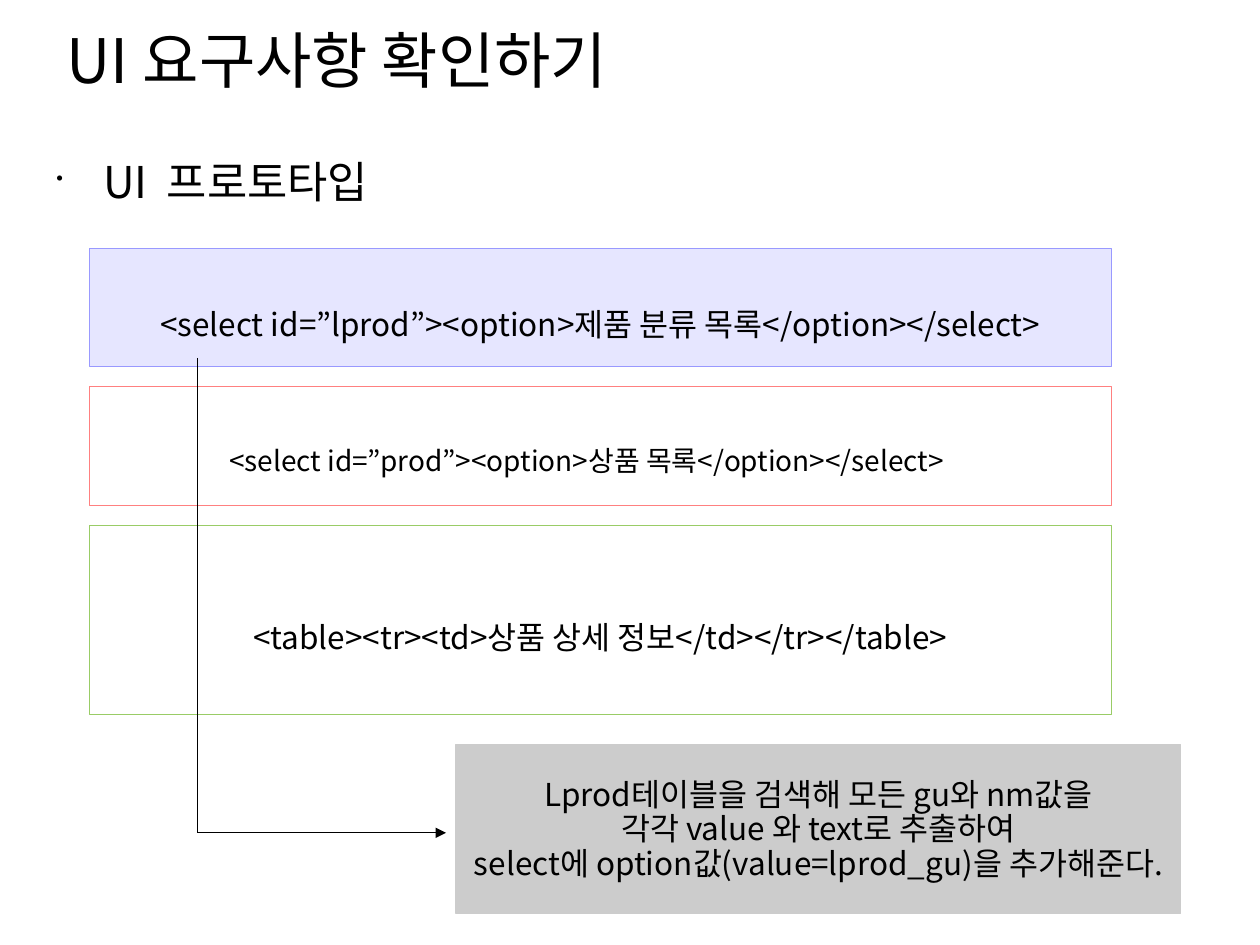
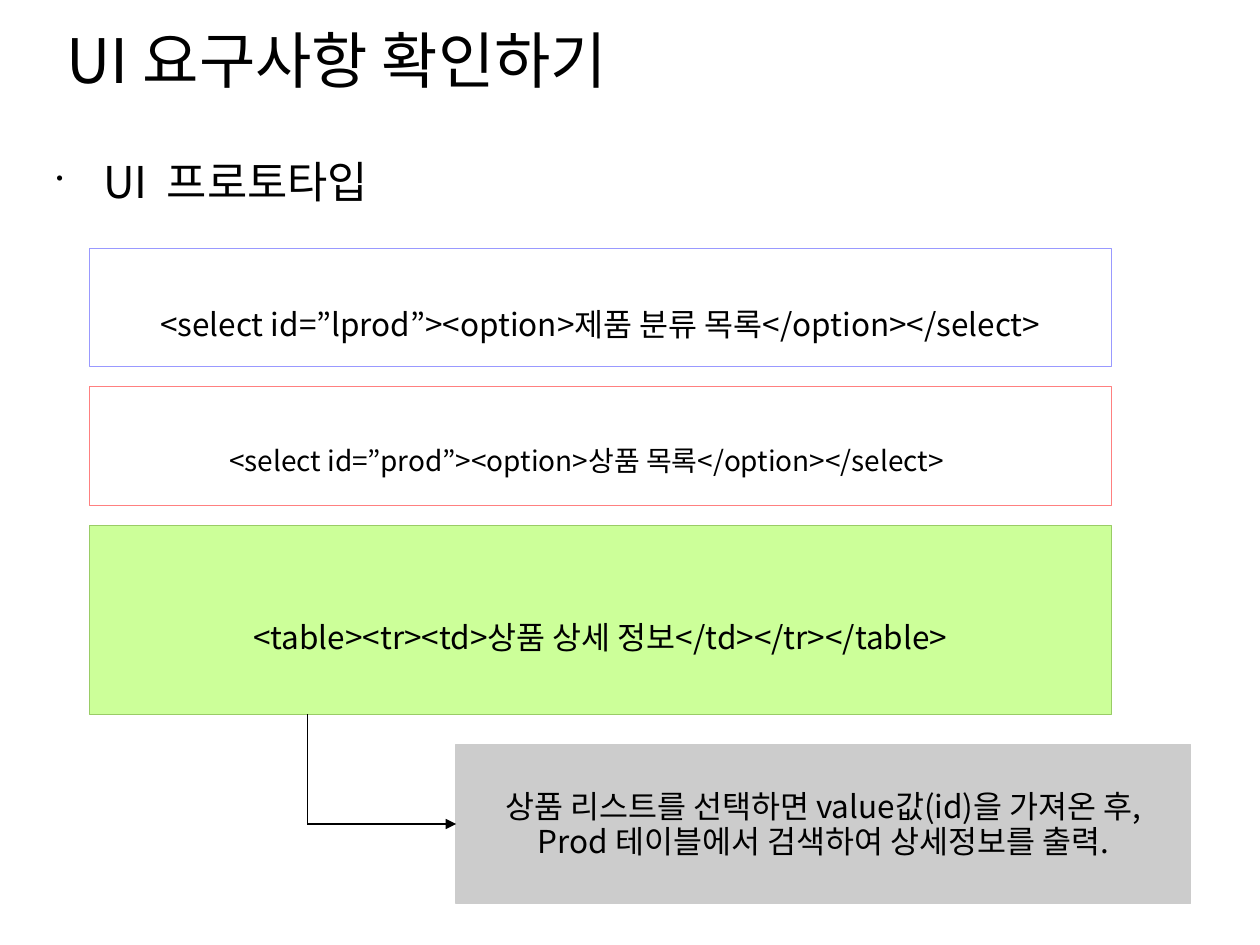
from lxml.etree import SubElement
from pptx import Presentation
from pptx.dml.color import RGBColor
from pptx.enum.shapes import MSO_CONNECTOR as Connector, MSO_SHAPE as Shape
from pptx.enum.text import MSO_ANCHOR as Anchor, MSO_AUTO_SIZE as AutoSize, PP_ALIGN as Align
from pptx.oxml.ns import qn
from pptx.util import Inches, Pt

# Content
TITLE = "UI 요구사항 확인하기"
SUBTITLE = "UI  프로토타입"
BLOCKS = [
    {"name": "categories", "height": 0.94, "line": "blue",
     "text": "<select id=”lprod”><option>제품 분류 목록</option></select>"},
    {"name": "products", "height": 0.94, "line": "red", "own_label": True,
     "text": "<select id=”prod”><option>상품 목록</option></select>"},
    {"name": "details", "height": 1.5, "line": "green",
     "text": "<table><tr><td>상품 상세 정보</td></tr></table>"},
]
SLIDES = [
    {"highlight": "categories", "fill": "light_blue",
     "callout": (3.62, 5.91, 5.75, 1.34),
     "note": ["Lprod테이블을 검색해 모든 gu와 nm값을",
              "각각 value 와 text로 추출하여",
              "select에 option값(value=lprod_gu)을 추가해준다."],
     "arrow": ((1.57, 2.84), (3.54, 6.61))},
    {"highlight": "details", "fill": "light_green",
     "callout": (3.62, 5.91, 5.83, 1.26),
     "note": ["상품 리스트를 선택하면 value값(id)을 가져온 후,",
              "Prod 테이블에서 검색하여 상세정보를 출력."],
     "arrow": ((2.44, 5.67), (3.62, 6.54))},
]

# Shared style
FONT = "Noto Sans CJK KR"
COLORS = {"black": "000000", "white": "FFFFFF", "gray": "CCCCCC",
          "blue": "9999FF", "red": "FF8080", "green": "99CC66",
          "light_blue": "E6E6FF", "light_green": "CCFF99"}
TITLE_BOX = (0.43, 0.13, 8.38, 0.87)
SUBTITLE_BOX = (0.34, 1.18, 9.27, 6.24)
LABEL_BOX = (1.61, 3.23, 6.09, 0.6)
BLOCK_LEFT, BLOCK_TOP, BLOCK_WIDTH, BLOCK_GAP = 0.71, 1.97, 8.11, 0.16
LINE_WIDTH = Pt(0.75)


def color(name):
    return RGBColor.from_string(COLORS[name])


def inches(values):
    return [Inches(value) for value in values]


def write(shape, lines, size, align=Align.LEFT, anchor=Anchor.TOP,
          top_inset=0.05, spacing=None, wrap=True):
    frame = shape.text_frame
    frame.text = "\n".join(lines)
    frame.word_wrap = wrap
    frame.auto_size = AutoSize.NONE
    frame.vertical_anchor = anchor
    frame.margin_left = frame.margin_right = Inches(0.1)
    frame.margin_top, frame.margin_bottom = Inches(top_inset), Inches(0.05)
    for paragraph in frame.paragraphs:
        paragraph.alignment = align
        if spacing:
            paragraph.line_spacing = spacing
        for run in paragraph.runs:
            run.font.size = Pt(size)
            run.font.color.rgb = color("black")
            run.font.name = FONT
            SubElement(run.font._element, qn("a:ea"), typeface=FONT)


def add_box(slide, place, fill, line):
    shape = slide.shapes.add_shape(Shape.ROUNDED_RECTANGLE, *inches(place))
    shape.adjustments[0] = 0
    shape.shadow.inherit = False
    shape.fill.solid()
    shape.fill.fore_color.rgb = color(fill)
    shape.line.color.rgb = color(line)
    shape.line.width = LINE_WIDTH
    return shape


def add_heading(slide):
    title = slide.shapes.title
    title.left, title.top, title.width, title.height = inches(TITLE_BOX)
    write(title, [TITLE], 35)

    subtitle = slide.shapes.add_textbox(*inches(SUBTITLE_BOX))
    write(subtitle, [SUBTITLE], 25)
    paragraph = subtitle.text_frame.paragraphs[0]
    paragraph.space_before, paragraph.space_after = Pt(5), Pt(14.3)
    properties = paragraph._p.get_or_add_pPr()
    properties.set("marL", str(Inches(0.38)))
    properties.set("indent", str(Inches(-0.37)))
    bullet_color = SubElement(properties, qn("a:buClr"))
    SubElement(bullet_color, qn("a:srgbClr"), val=COLORS["black"])
    SubElement(properties, qn("a:buSzPct"), val="45000")
    SubElement(properties, qn("a:buChar"), char="•")


def add_blocks(slide, highlight, fill):
    top = BLOCK_TOP
    for block in BLOCKS:
        place = (BLOCK_LEFT, top, BLOCK_WIDTH, block["height"])
        block_fill = fill if block["name"] == highlight else "white"
        box = add_box(slide, place, block_fill, block["line"])
        if block.get("own_label"):
            label = slide.shapes.add_textbox(*inches(LABEL_BOX))
            write(label, [block["text"]], 16, Align.CENTER,
                  top_inset=0.32, spacing=0.92, wrap=False)
        else:
            write(box, [block["text"]], 18, Align.CENTER, Anchor.MIDDLE,
                  top_inset=0.35, spacing=0.92)
        top += block["height"] + BLOCK_GAP


def add_line(slide, start, end, arrow=False):
    line = slide.shapes.add_connector(Connector.STRAIGHT, *inches(start + end))
    line.line.color.rgb = color("black")
    line.line.width = LINE_WIDTH
    if arrow:
        SubElement(line.line._get_or_add_ln(), qn("a:tailEnd"), type="triangle")
    SubElement(line._element.spPr, qn("a:effectLst"))


def add_callout(slide, place, note, arrow):
    box = add_box(slide, place, "gray", "gray")
    write(box, note, 18, Align.CENTER, Anchor.MIDDLE, top_inset=0.07, spacing=0.92)
    # Down from the block, then across to the callout
    start, end = arrow
    corner = (start[0], end[1])
    add_line(slide, start, corner)
    add_line(slide, corner, end, arrow=True)


def main():
    presentation = Presentation()
    presentation.slide_width, presentation.slide_height = Inches(10), Inches(7.5)
    for content in SLIDES:
        slide = presentation.slides.add_slide(presentation.slide_layouts[5])
        add_heading(slide)
        add_blocks(slide, content["highlight"], content["fill"])
        add_callout(slide, content["callout"], content["note"], content["arrow"])
    presentation.save("out.pptx")


if __name__ == "__main__":
    main()
